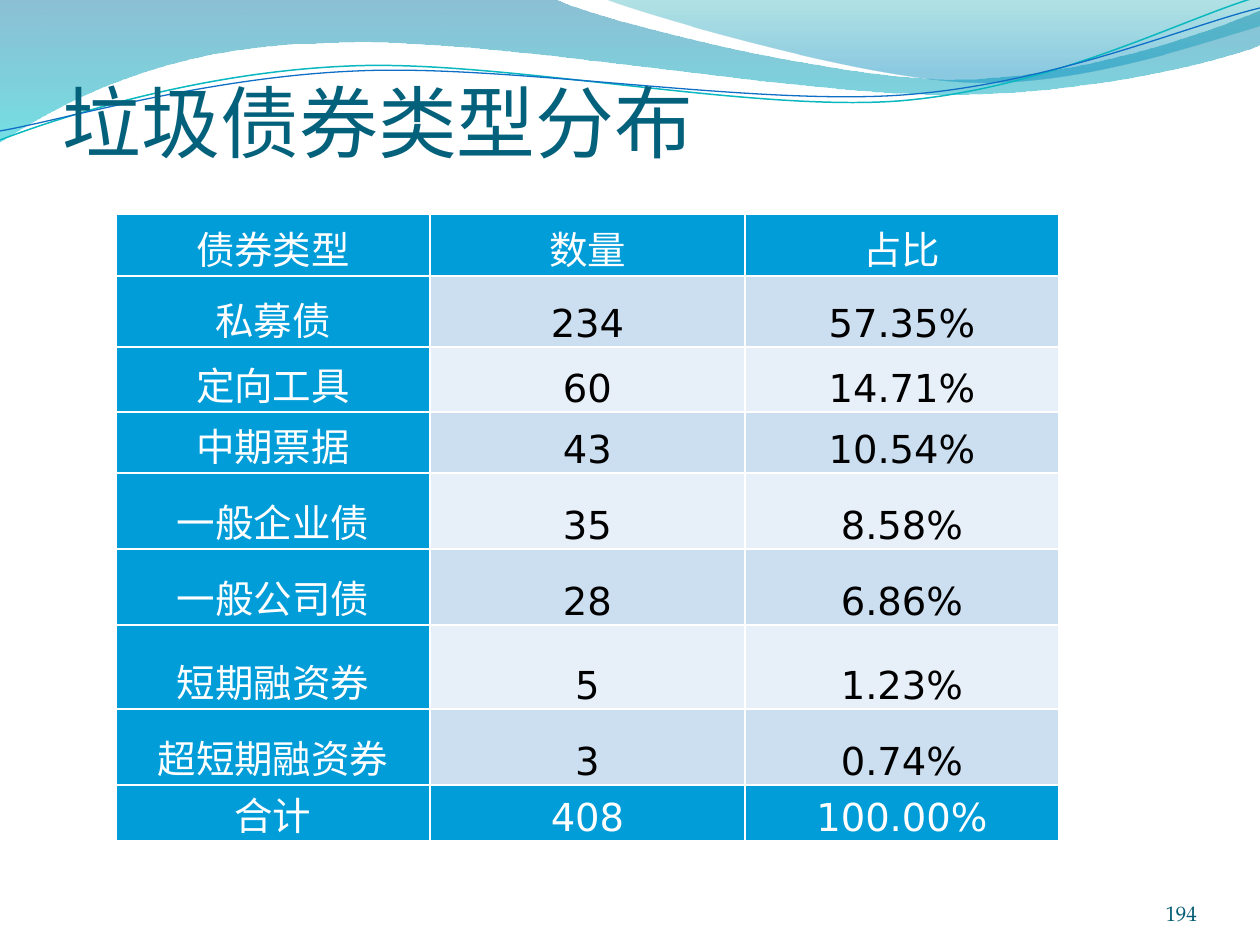
"""Build the slide on the distribution of junk bond types."""
from lxml.etree import SubElement
from pptx import Presentation
from pptx.dml.color import RGBColor
from pptx.enum.text import MSO_ANCHOR, PP_ALIGN
from pptx.oxml.ns import qn
from pptx.util import Pt

SCALE = 914400 / 126
COLORS = {
    "title": "04617B", "number": "045D75", "header": "009DD9",
    "band_dark": "CCDFF1", "band_light": "E7EFF8",
    "white": "FFFFFF", "black": "000000",
    "teal_line": "0AB8BF", "blue_line": "0F6FC6",
    "deep_blue": "0074A1", "turquoise": "00C6CF",
    "green": "00A1A9", "sky": "008BBF",
}
ROWS = [
    ("债券类型", "数量", "占比"),
    ("私募债", "234", "57.35%"),
    ("定向工具", "60", "14.71%"),
    ("中期票据", "43", "10.54%"),
    ("一般企业债", "35", "8.58%"),
    ("一般公司债", "28", "6.86%"),
    ("短期融资券", "5", "1.23%"),
    ("超短期融资券", "3", "0.74%"),
    ("合计", "408", "100.00%"),
]
ROW_HEIGHTS = [62, 71, 65, 61, 76, 76, 84, 76, 56]
COL_WIDTHS = [314, 315, 314]

LEFT_WAVE = [
    (-1, -1), (554, -1), (600, 21, 837, 79, 955, 79),
    (1075, 79, 1207, 33, 1260, 11), (1261, 45),
    (1239, 55, 1096, 96, 940, 94), (784, 94, 481, 35, 324, 43),
    (163, 45, 58, 105, -1, 142), (-1, -1),
]
RIGHT_WAVE = [
    (604, -1), (641, 14, 859, 78, 969, 82),
    (1079, 87, 1211, 40, 1260, 26), (1260, 0), (604, -1),
]
TEAL_CURVE = [
    (0, 140), (60, 117, 199, 72, 349, 66),
    (498, 59, 747, 112, 898, 101), (1050, 89, 1182, 19, 1257, -3),
]
BLUE_CURVE = [
    (0, 131), (59, 121, 207, 77, 357, 71),
    (508, 64, 752, 106, 903, 95), (1053, 84, 1186, 26, 1260, 8),
]


def emu(px):
    return round(px * SCALE)


def rgb(name):
    return RGBColor.from_string(COLORS[name])


class Deck:
    """Holds the presentation, its current slide and the shared style."""

    def __init__(self, width, height):
        self.prs = Presentation()
        self.prs.slide_width, self.prs.slide_height = emu(width), emu(height)
        self.s = self.prs.slides.add_slide(self.prs.slide_layouts[6])

    def style(self, p, size, font, color, align):
        p.alignment = align
        p.font.size, p.font.name, p.font.bold = Pt(size), font, False
        p.font.color.rgb = rgb(color)

    def outline(self, path, close):
        points = [(emu(part[i]), emu(part[i + 1]))
                  for part in path for i in range(0, len(part), 2)]
        builder = self.s.shapes.build_freeform(*points[0], scale=1.0)
        builder.add_line_segments(points[1:], close=close)
        sp = builder.convert_to_shape()
        sp.shadow.inherit = False
        lines = iter(list(sp._element.spPr.iter(qn("a:lnTo"))))
        for part in path[1:]:
            first = next(lines)
            if len(part) == 6:
                first.tag = qn("a:cubicBezTo")
                for _ in range(2):
                    line = next(lines)
                    first.append(line[0])
                    line.getparent().remove(line)
        return sp

    def wave(self, path, stops):
        sp = self.outline(path, True)
        sp.line.fill.background()
        sp.fill.gradient()
        sp.fill.gradient_angle = 270
        for stop, (position, color, _) in zip(sp.fill.gradient_stops, stops):
            stop.position = position
            stop.color.rgb = rgb(color)
        for clr, (_, _, opacity) in zip(sp._element.spPr.iter(qn("a:srgbClr")), stops):
            SubElement(clr, qn("a:alpha")).set("val", str(opacity * 1000))

    def curve(self, path, color, width):
        sp = self.outline(path, False)
        sp.fill.background()
        sp.line.color.rgb = rgb(color)
        sp.line.width = Pt(width)

    def text(self, text, box, size, font, color, align, top=0):
        tf = self.s.shapes.add_textbox(*map(emu, box)).text_frame
        tf.word_wrap = True
        tf.vertical_anchor = MSO_ANCHOR.BOTTOM
        tf.margin_left = tf.margin_right = tf.margin_bottom = 0
        tf.margin_top = emu(top)
        tf.text = text
        self.style(tf.paragraphs[0], size, font, color, align)

    def border(self, cell):
        tc_pr = cell._tc.get_or_add_tcPr()
        for index, side in enumerate(("lnL", "lnR", "lnT", "lnB")):
            ln = tc_pr.makeelement(qn(f"a:{side}"), {"w": str(Pt(1))})
            fill = SubElement(ln, qn("a:solidFill"))
            SubElement(fill, qn("a:srgbClr")).set("val", COLORS["white"])
            tc_pr.insert(index, ln)

    def table(self, left, top, rows, widths, heights):
        box = map(emu, (left, top, sum(widths), sum(heights)))
        table = self.s.shapes.add_table(len(rows), len(widths), *box).table
        table.horz_banding = False
        for column, width in zip(table.columns, widths):
            column.width = emu(width)
        for row, height in zip(table.rows, heights):
            row.height = emu(height)
        for r, values in enumerate(rows):
            for c, value in enumerate(values):
                cell = table.cell(r, c)
                strong = c == 0 or r in (0, len(rows) - 1)
                band = "band_dark" if r % 2 else "band_light"
                cell.text = value
                cell.vertical_anchor = MSO_ANCHOR.BOTTOM
                cell.margin_left = cell.margin_right = cell.margin_top = emu(1)
                cell.margin_bottom = 0
                cell.fill.solid()
                cell.fill.fore_color.rgb = rgb("header" if strong else band)
                self.border(cell)
                self.style(cell.text_frame.paragraphs[0], 22, "DejaVu Sans",
                           "white" if strong else "black", PP_ALIGN.CENTER)


def main():
    deck = Deck(1260, 945)
    deck.wave(LEFT_WAVE, [(0, "deep_blue", 45), (1, "turquoise", 55)])
    deck.wave(RIGHT_WAVE, [(0, "green", 30), (0.8, "sky", 45)])
    deck.curve(TEAL_CURVE, "teal_line", 0.85)
    deck.curve(BLUE_CURVE, "blue_line", 0.75)
    deck.text("垃圾债券类型分布", (63, 97, 1134, 71), 45, "Calibri", "title",
              PP_ALIGN.LEFT, top=5)
    deck.table(116, 214, ROWS, COL_WIDTHS, ROW_HEIGHTS)
    deck.text("194", (1092, 876, 105, 50), 12, "TeX Gyre Pagella", "number",
              PP_ALIGN.RIGHT)
    deck.prs.save("out.pptx")


if __name__ == "__main__":
    main()
